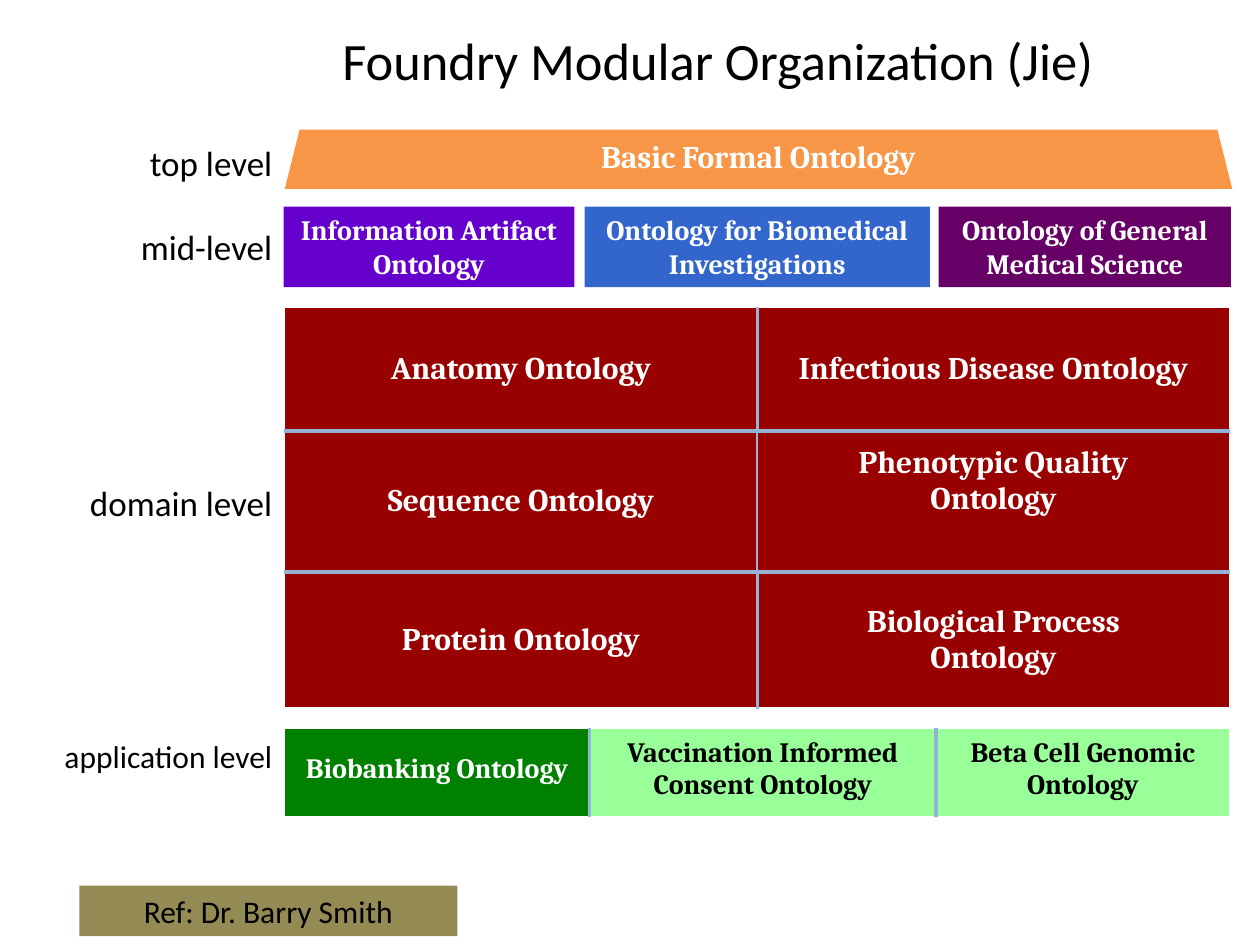
from dataclasses import dataclass
from typing import Optional

from lxml.etree import SubElement
from pptx import Presentation
from pptx.dml.color import RGBColor
from pptx.enum.shapes import MSO_SHAPE as Shape
from pptx.enum.text import MSO_ANCHOR as Anchor, MSO_AUTO_SIZE as AutoSize, PP_ALIGN as Align
from pptx.oxml.ns import qn
from pptx.util import Inches, Pt

UNIT = Inches(10) // 100
COLUMNS, ROWS = 100, 75
LEFT, WIDTH = 22.6, 75
WHITE, BLACK, RULE, RED = "FFFFFF", "000000", "95B3D7", "990000"
LIGHT_GREEN = "99FF99"


@dataclass
class Box:
    x: float
    y: float
    w: float
    h: float

    def lengths(self) -> tuple:
        return tuple(grid(v) for v in (self.x, self.y, self.w, self.h))


@dataclass
class Block:
    text: str
    box: Box
    fill: str
    size: int = 16
    font: str = "Cambria"
    color: str = WHITE
    bold: bool = True
    preset: Shape = Shape.RECTANGLE
    wrap: bool = True


@dataclass
class Cell:
    text: str
    fill: str = RED
    color: str = WHITE
    bottom: float = 0.5


@dataclass
class Level:
    text: str
    gap_lines: int
    size: int = 20


def grid(units: float) -> int:
    return round(units * UNIT)


def rgb(value: str) -> RGBColor:
    return RGBColor.from_string(value)


def paint(target, color: str) -> None:
    target.fill.solid()
    target.fill.fore_color.rgb = rgb(color)


def write(tf, text: str, *, size: int, font: str = "Calibri", color: str = BLACK,
          bold: bool = False, align: Align = Align.CENTER) -> None:
    for i, line in enumerate(text.split("\n")):
        p = tf.paragraphs[0] if i == 0 else tf.add_paragraph()
        p.alignment = align
        p.space_before = Pt(0)
        r = p.add_run()
        r.text = line
        r.font.size, r.font.name, r.font.bold = Pt(size), font, bold
        r.font.color.rgb = rgb(color)


def add_block(s, block: Block) -> None:
    sp = s.shapes.add_shape(block.preset, *block.box.lengths())
    sp.shadow.inherit = False
    paint(sp, block.fill)
    sp.line.fill.background()
    tf = sp.text_frame
    tf.word_wrap = block.wrap
    tf.vertical_anchor = Anchor.TOP
    write(tf, block.text, size=block.size, font=block.font, color=block.color, bold=block.bold)


def add_title(s, text: str, box: Box) -> None:
    sp = s.shapes.title
    sp.left, sp.top, sp.width, sp.height = box.lengths()
    paint(sp, WHITE)
    tf = sp.text_frame
    tf.word_wrap = True
    tf.auto_size = AutoSize.NONE
    tf.vertical_anchor = Anchor.TOP
    write(tf, text, size=30)
    tf.paragraphs[0].line_spacing = 0.9


def add_levels(s, levels: list[Level], box: Box) -> None:
    tf = s.shapes.add_textbox(*box.lengths()).text_frame
    tf.word_wrap = True
    for i, level in enumerate(levels):
        p = tf.paragraphs[0] if i == 0 else tf.add_paragraph()
        p.alignment = Align.RIGHT
        p.space_before = Pt(round(24.4 * level.gap_lines, 1))
        r = p.add_run()
        r.text = level.text
        r.font.size, r.font.name = Pt(level.size), "Calibri"
        r.font.color.rgb = rgb(BLACK)


def set_borders(cell, edges: dict) -> None:
    tc_pr = cell._tc.get_or_add_tcPr()
    lines = []
    for side in "LRTB":
        if edges[side]:
            color, width = edges[side]
            ln = SubElement(tc_pr, qn(f"a:ln{side}"), w=str(Pt(width)))
            SubElement(SubElement(ln, qn("a:solidFill")), qn("a:srgbClr"), val=color)
            lines.append(ln)
    for i, ln in enumerate(lines):
        tc_pr.insert(i, ln)


def add_grid(s, cells: list[list[Cell]], y: float, widths: list[float], heights: list[float],
             *, size: int, side_inset: float, top_inset: float,
             outer: Optional[tuple], dividers: list[float]) -> None:
    box = Box(LEFT, y, sum(widths), sum(heights))
    table = s.shapes.add_table(len(heights), len(widths), *box.lengths()).table
    table.first_row = table.horz_banding = False
    for column, w in zip(table.columns, widths):
        column.width = grid(w)
    for row, h in zip(table.rows, heights):
        row.height = grid(h)
    last_row, last_col = len(heights) - 1, len(widths) - 1
    for i, row in enumerate(cells):
        divider = (RULE, dividers[i])
        for j, item in enumerate(row):
            cell = table.cell(i, j)
            paint(cell, item.fill)
            cell.vertical_anchor = Anchor.MIDDLE
            cell.margin_left = cell.margin_right = grid(side_inset)
            cell.margin_top, cell.margin_bottom = grid(top_inset), grid(item.bottom)
            write(cell.text_frame, item.text, size=size, font="Cambria", color=item.color, bold=True)
            set_borders(cell, {
                "L": divider if j else outer,
                "R": divider if j < last_col else outer,
                "T": (RULE, 2.25) if i else outer,
                "B": (RULE, 2.25) if i < last_row else outer,
            })


def main() -> None:
    prs = Presentation()
    prs.slide_width, prs.slide_height = COLUMNS * UNIT, ROWS * UNIT
    s = prs.slides.add_slide(prs.slide_layouts[5])

    add_title(s, "Foundry Modular Organization (Jie)", Box(16.7, 2.3, 80.6, 6.8))
    add_levels(s, [Level("top level", 0), Level("mid-level", 1), Level("domain level", 5),
                   Level("application level", 5, 18)], Box(3.2, 10.7, 19.4, 51.2))

    add_block(s, Block("Ref: Dr. Barry Smith", Box(6.3, 70.3, 30, 4), "948A54",
                       size=18, font="Calibri", color=BLACK, bold=False))
    add_grid(s, [[Cell("Biobanking Ontology", "008000"),
                  Cell("Vaccination Informed Consent Ontology", LIGHT_GREEN, BLACK),
                  Cell("Beta Cell Genomic Ontology", LIGHT_GREEN, BLACK)]],
             57.8, [24.2, 27.5, 23.3], [7], size=16, side_inset=0, top_inset=0,
             outer=None, dividers=[2.25])

    add_block(s, Block("Basic Formal Ontology", Box(LEFT, 10.3, 75.2, 4.7), "F79646",
                       size=18, preset=Shape.TRAPEZOID))
    for text, x, w, fill in (
        ("Information Artifact\nOntology", 22.5, 23.1, "6600CC"),
        ("Ontology for Biomedical\nInvestigations", 46.4, 27.4, "3366CC"),
        ("Ontology of General\nMedical Science", 74.5, 23.2, "660066"),
    ):
        add_block(s, Block(text, Box(x, 16.4, w, 6.4), fill, wrap=False))

    add_grid(s, [[Cell("Anatomy Ontology"), Cell("Infectious Disease Ontology")],
                 [Cell("Sequence Ontology"), Cell("Phenotypic Quality\nOntology", bottom=3.7)],
                 [Cell("Protein Ontology"), Cell("Biological Process\nOntology")]],
             24.4, [WIDTH / 2] * 2, [9.8, 11.2, 10.8], size=18, side_inset=1, top_inset=0.5,
             outer=(WHITE, 1), dividers=[2.25, 1.5, 2.25])

    prs.save("out.pptx")


if __name__ == "__main__":
    main()
